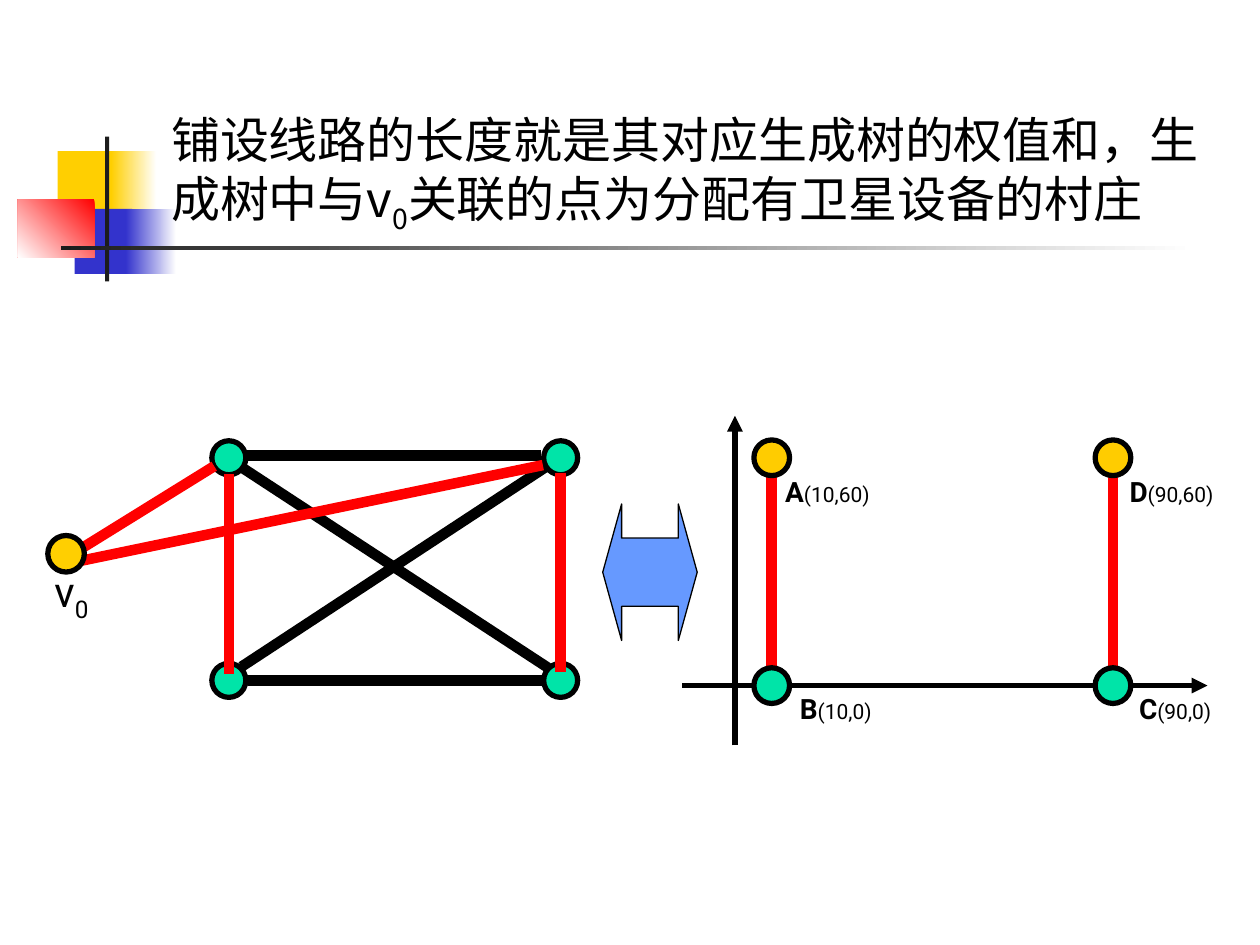
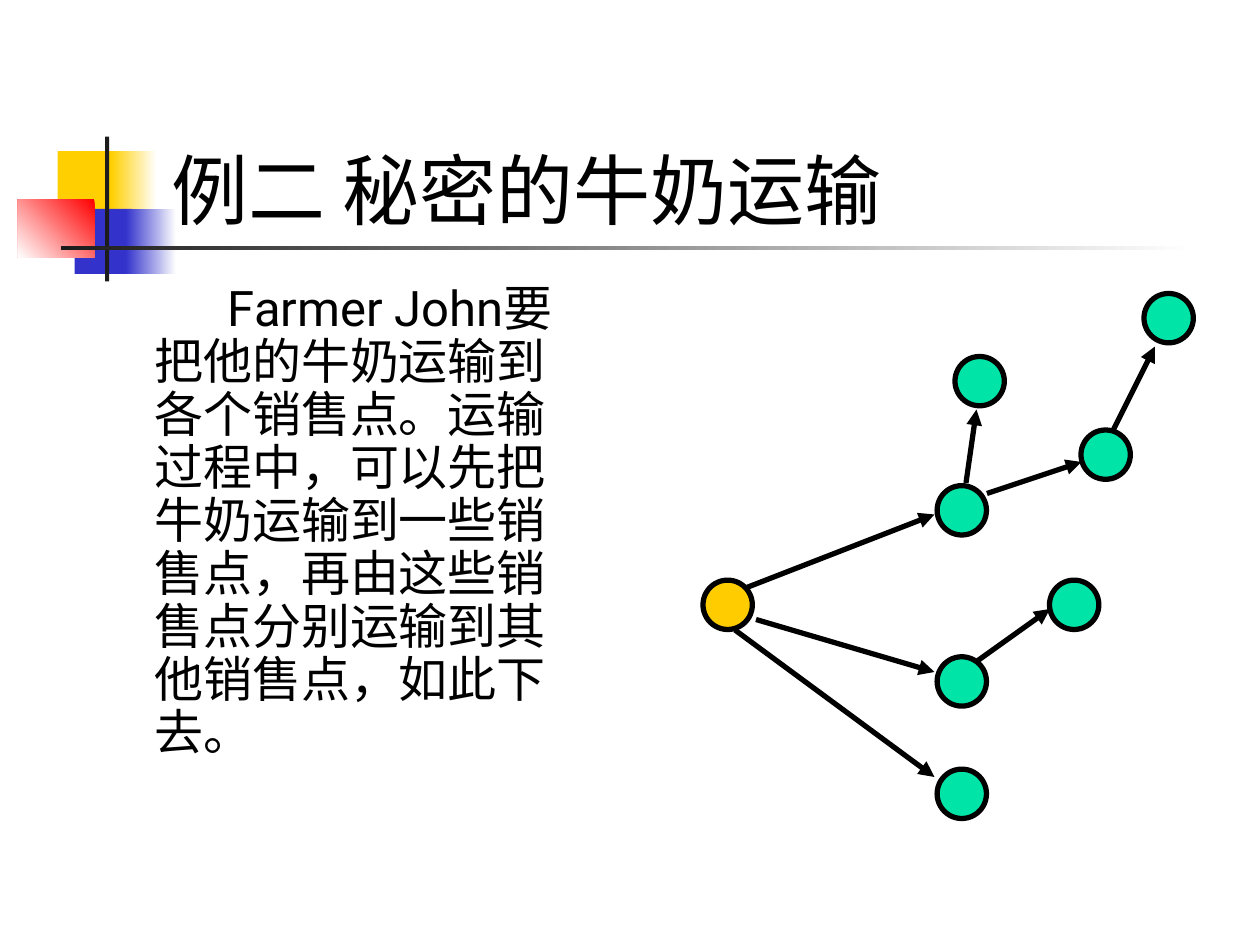
"""Build two slides on spanning trees and the milk delivery problem."""
from itertools import product

from lxml.etree import SubElement
from pptx import Presentation
from pptx.dml.color import RGBColor
from pptx.enum.shapes import MSO_CONNECTOR, MSO_SHAPE
from pptx.enum.text import MSO_ANCHOR, MSO_AUTO_SIZE, PP_ALIGN
from pptx.oxml.ns import qn
from pptx.util import Inches, Pt

COLORS = {
    "black": "000000", "white": "FFFFFF", "ink": "1C1C1C", "red": "FF0000",
    "yellow": "FFCF01", "amber": "FFCC00", "blue": "3333CC", "sky": "6699FF",
    "green": "00E4A8",
}
RGB = {name: RGBColor.from_string(value) for name, value in COLORS.items()}
LATIN, CHINESE = "Roboto", "Noto Sans CJK SC"
COLUMNS, ROWS = 120, 90
CELL = Inches(10) // COLUMNS


def add_form(slide, kind, box, fill, line_width=0):
    """Add a filled preset shape; box is left, top, width, height in cells."""
    shape = slide.shapes.add_shape(kind, *(round(value * CELL) for value in box))
    shape.shadow.inherit = False
    shape.fill.solid()
    shape.fill.fore_color.rgb = RGB[fill]
    if line_width:
        shape.line.color.rgb = RGB["black"]
        shape.line.width = Pt(line_width)
    else:
        shape.line.fill.background()
    return shape


def add_line(slide, start, end, color="black", width=3, arrow=False):
    """Add a straight line between two grid points, with an optional arrowhead."""
    line = slide.shapes.add_connector(
        MSO_CONNECTOR.STRAIGHT, *(round(value * CELL) for value in (*start, *end)))
    line.line.color.rgb = RGB[color]
    line.line.width = Pt(width)
    if arrow:
        SubElement(line.line._get_or_add_ln(), qn("a:tailEnd"), type="triangle")
    SubElement(line._element.spPr, qn("a:effectLst"))


presentation = Presentation()
presentation.slide_width = COLUMNS * CELL
presentation.slide_height = ROWS * CELL
master = presentation.slide_master
tree_slide = presentation.slides.add_slide(presentation.slide_layouts[5])
milk_slide = presentation.slides.add_slide(presentation.slide_layouts[1])

master_title = master.placeholders[0]
master_title.left, master_title.top = round(15.1 * CELL), 8 * CELL
master_title.width, master_title.height = round(102.3 * CELL), 15 * CELL

ornaments = [
    ((5.5, 14.4, 5.8, 6.2), "yellow", None, None),
    ((10.6, 14.4, 4.3, 6.2), "yellow", "white", 0),
    ((7.1, 19.9, 5.5, 6.2), "blue", None, None),
    ((12, 19.9, 4.8, 6.2), "blue", "white", 0),
    ((1.7, 19, 7.3, 5.5), "red", "white", 225),
    ((10, 13, 0.4, 13.8), "ink", None, None),
    ((5.8, 23.4, 108, 0.4), "ink", "white", 0),
]
for number, (box, color, fade, angle) in enumerate(ornaments, start=100):
    ornament = add_form(tree_slide, MSO_SHAPE.RECTANGLE, box, color)
    if fade:
        ornament.fill.gradient()
        ornament.fill.gradient_angle = angle
        for stop, name in zip(ornament.fill.gradient_stops, (color, fade)):
            stop.color.rgb = RGB[name]
    ornament._element.nvSpPr.cNvPr.set("id", str(number))
    master.shapes._spTree.append(ornament._element)

titles = [
    (tree_slide, 28, ["铺设线路的长度就是其对应生成树的权值和，生成树中与",
                      "v", "0", "关联的点为分配有卫星设备的村庄"]),
    (milk_slide, 44, ["例二 秘密的牛奶运输"]),
]
for slide, size, parts in titles:
    frame = slide.shapes.title.text_frame
    frame.auto_size = MSO_AUTO_SIZE.NONE
    frame.vertical_anchor = MSO_ANCHOR.BOTTOM
    paragraph = frame.paragraphs[0]
    paragraph.alignment = PP_ALIGN.LEFT
    paragraph.font.size = Pt(size)
    paragraph.font.color.rgb = RGB["black"]
    paragraph.font.name = LATIN
    SubElement(paragraph.font._element, qn("a:ea"), typeface=CHINESE)
    for part in parts:
        run = paragraph.add_run()
        run.text = part
        if part in ("v", "0"):
            run.font.name = CHINESE
        if part == "0":
            run.font._element.set("baseline", "-25000")

for column in (73.5, 106):
    add_line(tree_slide, (column, 44), (column, 65), "red", 6)
for start, end in [((23, 63.5), (52.1, 44.4)), ((52.2, 63.6), (23, 44.5)),
                   ((23.6, 64.8), (51.6, 64.8)), ((23.4, 43.4), (51.5, 43.4))]:
    add_line(tree_slide, start, end, width=6)
add_line(tree_slide, (70, 71), (70, 39.6), arrow=True)
add_line(tree_slide, (65, 65.3), (115, 65.3), arrow=True)

village_nodes = [(x, y, 3.24, "green") for x, y in product((21.8, 53.4), (43.6, 64.8))]
village_nodes += [(x, y, 3.4, color) for x, (y, color) in product(
    (73.5, 106), ((43.6, "amber"), (65.3, "green")))]
for x, y, size, color in village_nodes:
    add_form(tree_slide, MSO_SHAPE.OVAL, (x - size / 2, y - size / 2, size, size), color, 3)

for start, end in [((6.2, 53.2), (20.4, 44.4)), ((6.8, 53.6), (51.7, 44.3)),
                   ((53.4, 45), (53.4, 64)), ((21.8, 45.1), (21.8, 64.2))]:
    add_line(tree_slide, start, end, "red", 6)
add_form(tree_slide, MSO_SHAPE.OVAL, (4.55, 51, 3.48, 3.48), "yellow", 3)
equivalence = add_form(tree_slide, MSO_SHAPE.LEFT_RIGHT_ARROW, (57.4, 48, 9, 13), "sky", 0.75)
equivalence.adjustments[0], equivalence.adjustments[1] = 0.5, 0.2

labels = [
    (73.6, 44.6, 12, "A", "(10,60)"), (75, 65.3, 12, "B", "(10,0)"),
    (107.3, 65.3, 12, "C", "(90,0)"), (106.4, 44.6, 12, "D", "(90,60)"),
    (1.8, 53.3, 10, "v", "0"),
]
for left, top, width, name, detail in labels:
    label = tree_slide.shapes.add_textbox(
        *(round(value * CELL) for value in (left, top, width, 4.5)))
    label.text_frame.word_wrap = True
    paragraph = label.text_frame.paragraphs[0]
    paragraph.font.name = LATIN
    paragraph.font.color.rgb = RGB["black"]
    name_run, detail_run = paragraph.add_run(), paragraph.add_run()
    name_run.text, detail_run.text = name, detail
    if name == "v":
        paragraph.alignment = PP_ALIGN.CENTER
        paragraph.font.size = Pt(24)
        detail_run.font._element.set("baseline", "-25000")
    else:
        name_run.font.size, name_run.font.bold = Pt(16), True
        detail_run.font.size = Pt(12)

body = milk_slide.placeholders[1]
body.left, body.top = 9 * CELL, round(26.5 * CELL)
body.width, body.height = round(46.4 * CELL), round(51.5 * CELL)
body.text_frame.auto_size = MSO_AUTO_SIZE.NONE
body.text_frame.text = ("Farmer John要把他的牛奶运输到各个销售点。运输过程中，可以先把牛奶运输到"
                        "一些销售点，再由这些销售点分别运输到其他销售点，如此下去。")
paragraph = body.text_frame.paragraphs[0]
paragraph.line_spacing = 0.9
paragraph.space_before = Pt(0)
properties = paragraph._p.get_or_add_pPr()
properties.set("marL", str(round(4.5 * CELL)))
properties.set("indent", str(7 * CELL))
SubElement(properties, qn("a:buNone"))
paragraph.font.size = Pt(28)
paragraph.font.color.rgb = RGB["black"]
paragraph.font.name = LATIN
SubElement(paragraph.font._element, qn("a:ea"), typeface=CHINESE)

outlet_size = 4.7
outlets = [(69.3, 57.6), (91.6, 48.6), (93.3, 36.3), (105.3, 43.3),
           (91.6, 64.9), (91.6, 75.6), (102.3, 57.6), (111.3, 30.3)]
for index, (x, y) in enumerate(outlets):
    box = (x - outlet_size / 2, y - outlet_size / 2, outlet_size, outlet_size)
    add_form(milk_slide, MSO_SHAPE.OVAL, box, "green" if index else "amber", 3)

routes = [((71, 56), (89, 49)), ((72, 59), (89, 64)), ((70, 60), (89, 74)),
          ((92, 46), (93, 39)), ((94, 47), (103, 44)), ((93, 63), (100, 58)),
          ((106, 41), (110, 33))]
for start, end in routes:
    add_line(milk_slide, start, end, arrow=True)

presentation.save("out.pptx")
